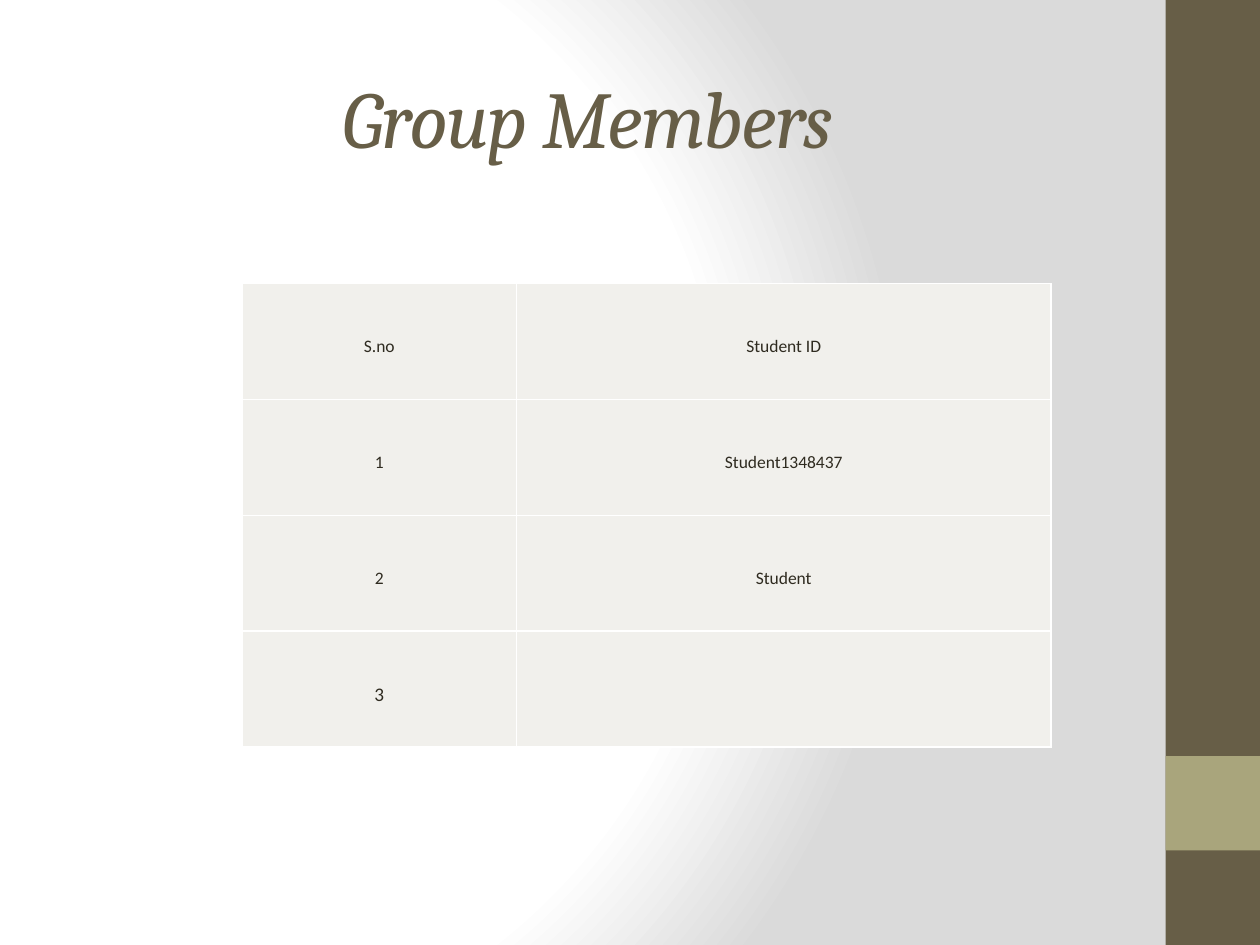
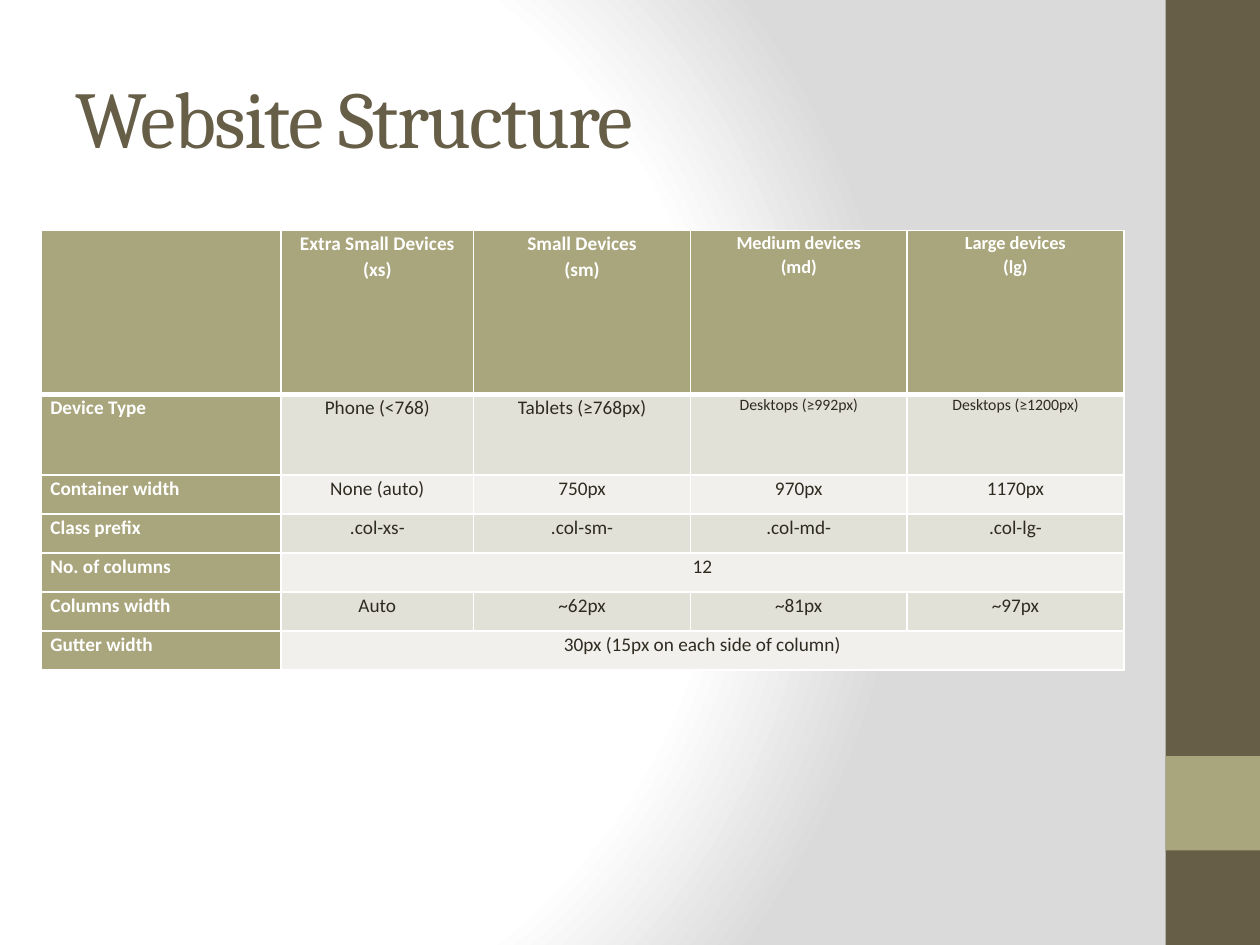
from pptx import Presentation
from pptx.dml.color import RGBColor
from pptx.enum.shapes import MSO_SHAPE
from pptx.enum.text import MSO_ANCHOR, PP_ALIGN
from pptx.oxml import parse_xml
from pptx.oxml.ns import nsdecls, qn
from pptx.util import Inches, Pt

RECT = MSO_SHAPE.RECTANGLE
LEFT, CENTER = PP_ALIGN.LEFT, PP_ALIGN.CENTER
TOP, MIDDLE = MSO_ANCHOR.TOP, MSO_ANCHOR.MIDDLE

COLORS = {
    "white": "FFFFFF",
    "gray": "DADADA",
    "brown": "675E47",
    "olive": "A9A57C",
    "ink": "2F2B20",
    "band_dark": "E2E1D7",
    "band_light": "F1F0EC",
}
TITLE_FONT, BODY_FONT = "Cambria", "Calibri"


def rgb(name):
    return RGBColor.from_string(COLORS[name])


class Deck:
    """Holds the shared style and the current slide."""

    def __init__(self):
        self.prs = Presentation()
        self.prs.slide_width, self.prs.slide_height = Inches(10), Inches(7.5)
        self.slide = None
        self.set_background()

    def set_background(self):
        """Give the master a circular gradient that darkens to the right."""
        master = self.prs.slide_master
        master.background.fill.gradient()
        grad = master.element.find(".//" + qn("a:gradFill"))
        stops = "".join(
            f'<a:gs pos="{pos * 1000}"><a:srgbClr val="{COLORS[name]}"/></a:gs>'
            for pos, name in ((0, "white"), (75, "white"), (100, "gray")))
        grad.getparent().replace(grad, parse_xml(
            f'<a:gradFill {nsdecls("a")} rotWithShape="1"><a:gsLst>{stops}</a:gsLst>'
            '<a:path path="circle"><a:fillToRect l="20000" t="50000" '
            'r="100000" b="50000"/></a:path></a:gradFill>'))

    def add_slide(self, title, align=LEFT, italic=False):
        self.slide = self.prs.slides.add_slide(self.prs.slide_layouts[5])
        self.band(0, 7.5, "brown")
        self.band(6, 0.75, "olive")
        self.title(title, align, italic)

    def band(self, top, height, color):
        """Draw a block of the strip along the right edge."""
        sp = self.slide.shapes.add_shape(
            RECT, Inches(9.25), Inches(top), Inches(0.75), Inches(height))
        sp.shadow.inherit = False
        sp.fill.solid()
        sp.fill.fore_color.rgb = rgb(color)
        sp.line.fill.background()

    def title(self, text, align, italic):
        sp = self.slide.shapes.title
        sp.left, sp.top = Inches(0.5), Inches(0.3)
        sp.width, sp.height = Inches(8.33), Inches(1.25)
        tf = sp.text_frame
        tf.text = text
        tf.vertical_anchor = MIDDLE
        p = tf.paragraphs[0]
        p.alignment = align
        self.style_font(p.font, TITLE_FONT, 46, "brown", italic=italic)
        p.runs[0]._r.get_or_add_rPr().set("spc", "-100")

    def style_font(self, font, name, size, color, bold=False, italic=False):
        font.name, font.size = name, Pt(size)
        font.color.rgb = rgb(color)
        font.bold, font.italic = bold, italic

    def table(self, left, top, widths, heights, rows, sizes, spacing,
              anchor=TOP, headings=False):
        """Add a table; a short row merges its last value to the right edge.

        sizes maps (row, column) to a text size, with the usual one under None.
        """
        frame = self.slide.shapes.add_table(
            len(rows), len(widths), Inches(left), Inches(top),
            Inches(sum(widths)), Inches(sum(heights)))
        table = frame.table
        table.first_row = table.horz_banding = False
        for column, width in zip(table.columns, widths):
            column.width = Inches(width)
        for row, height in zip(table.rows, heights):
            row.height = Inches(height)
        for i, values in enumerate(rows):
            for j in range(len(widths)):
                heading = headings and (i == 0 or j == 0)
                fill = "band_dark" if headings and i % 2 else "band_light"
                cell = table.cell(i, j)
                self.cell(cell, "olive" if heading else fill, anchor)
                self.borders(cell, top=3 if headings and i == 1 else 1,
                             bottom=3 if headings and i == 0 else 1)
                if j < len(values) and values[j]:
                    self.cell_text(
                        cell, values[j], sizes.get((i, j), sizes[None]), spacing,
                        LEFT if heading and j == 0 else CENTER, heading)
            if len(values) < len(widths):
                table.cell(i, len(values) - 1).merge(table.cell(i, len(widths) - 1))

    def cell(self, cell, fill, anchor):
        cell.fill.solid()
        cell.fill.fore_color.rgb = rgb(fill)
        cell.vertical_anchor = anchor
        cell.margin_left = cell.margin_right = Inches(0.07)
        cell.margin_top = cell.margin_bottom = 0

    def cell_text(self, cell, text, size, spacing, align, heading):
        cell.text = text
        for p in cell.text_frame.paragraphs:
            p.alignment, p.line_spacing = align, spacing
            self.style_font(p.font, BODY_FONT, size,
                            "white" if heading else "ink", bold=heading)

    def borders(self, cell, top, bottom):
        tc_pr = cell._tc.get_or_add_tcPr()
        sides = (("L", 1), ("R", 1), ("T", top), ("B", bottom))
        for index, (side, width) in enumerate(sides):
            tc_pr.insert(index, parse_xml(
                f'<a:ln{side} {nsdecls("a")} w="{Pt(width)}"><a:solidFill>'
                f'<a:srgbClr val="{COLORS["white"]}"/></a:solidFill></a:ln{side}>'))


def main():
    deck = Deck()

    deck.add_slide("Group Members", CENTER, italic=True)
    members = [
        ("S.no", "Student ID"),
        ("1", "Student1348437"),
        ("2", "Student"),
        ("3", ""),
    ]
    deck.table(1.92, 2.25, [2.18, 4.24], [0.92] * 4, members,
               sizes={None: 10, (3, 0): 11}, spacing=1.5, anchor=MIDDLE)

    deck.add_slide("Website Structure")
    grid_options = [
        ("", "Extra Small Devices\n(xs)", "Small Devices\n(sm)",
         "Medium devices\n(md)", "Large devices\n(lg)"),
        ("Device Type", "Phone (<768)", "Tablets (≥768px)",
         "Desktops (≥992px)", "Desktops (≥1200px)"),
        ("Container width", "None (auto)", "750px", "970px", "1170px"),
        ("Class prefix", ".col-xs-", ".col-sm-", ".col-md-", ".col-lg-"),
        ("No. of columns", "12"),
        ("Columns width", "Auto", "~62px", "~81px", "~97px"),
        ("Gutter width", "30px (15px on each side of column)"),
    ]
    deck.table(0.33, 1.83, [1.9, 1.53] + [1.72] * 3, [1.3, 0.64] + [0.31] * 5,
               grid_options, spacing=1.07, headings=True,
               sizes={None: 11, (0, 3): 10.5, (0, 4): 10.5, (1, 3): 9, (1, 4): 9})

    deck.prs.save("out.pptx")


if __name__ == "__main__":
    main()
